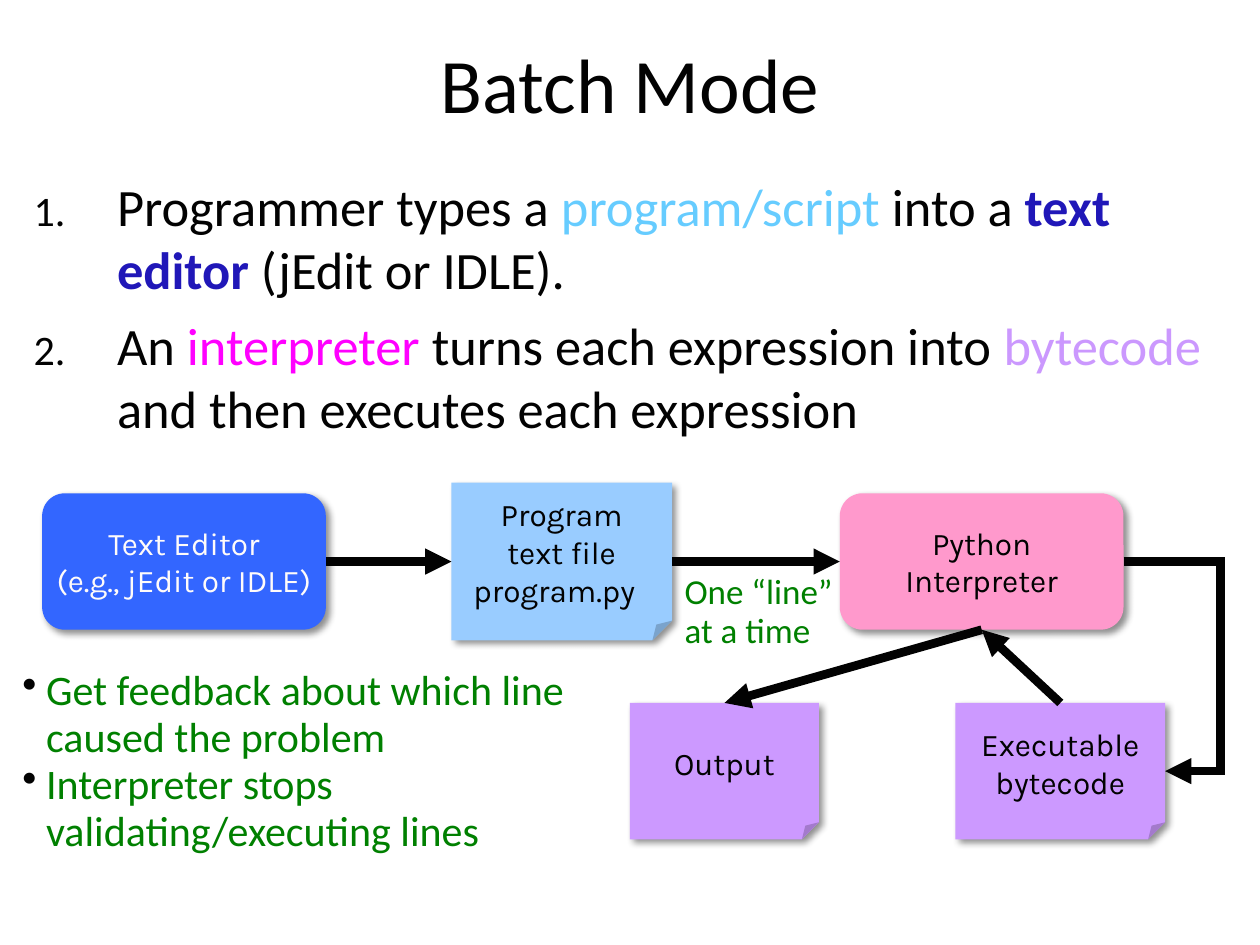
from dataclasses import dataclass

from lxml.etree import SubElement
from pptx import Presentation
from pptx.dml.color import RGBColor
from pptx.enum.shapes import MSO_CONNECTOR, MSO_SHAPE
from pptx.enum.text import MSO_ANCHOR, PP_ALIGN
from pptx.oxml.ns import qn
from pptx.util import Cm, Pt


@dataclass(frozen=True)
class Theme:
    ink: str = "020202"
    white: str = "FFFBFA"
    script: str = "66CCFF"
    editor: str = "2017B8"
    interpreter: str = "FF00FF"
    bytecode: str = "CB98FE"
    note: str = "008000"
    editor_fill: str = "3366FF"
    file_fill: str = "99CCFF"
    interpreter_fill: str = "FF99CC"
    result_fill: str = "CC99FF"
    text_font: str = "Calibri"
    node_font: str = "Karla"
    title_size: int = 44
    body_size: int = 30
    feedback_size: int = 24
    label_size: int = 20
    node_size: int = 18
    arrow_width: int = 5


THEME = Theme()
TOP, LEFT, BOTTOM, RIGHT = range(4)  # connection sites


def rgb(colour):
    return RGBColor.from_string(colour)


def child(parent, tag, **attributes):
    return SubElement(parent, qn(tag), {k: str(v) for k, v in attributes.items()})


def set_guide(shape, name, ratio):
    geometry = shape._element.spPr.find(qn("a:prstGeom"))
    guides = geometry.find(qn("a:avLst"))
    if guides is None:
        guides = child(geometry, "a:avLst")
    child(guides, "a:gd", name=name, fmla=f"val {round(ratio * 100000)}")


def add_bullet(paragraph, indent, number=False):
    properties = paragraph._p.get_or_add_pPr()
    properties.set("marL", str(Cm(indent)))
    properties.set("indent", str(-Cm(indent)))
    if number:
        child(properties, "a:buSzPct", val=80000)
        child(properties, "a:buAutoNum", type="arabicPeriod")
    else:
        child(child(properties, "a:buClr"), "a:srgbClr", val=THEME.ink)
        child(properties, "a:buChar", char="•")


def write(frame, paragraphs, *, size, font=THEME.text_font, colour=THEME.ink,
          align=PP_ALIGN.LEFT, anchor=MSO_ANCHOR.TOP, wrap=True, spacing=None,
          gap=0, indent=0, number=False):
    """Each paragraph is a string or a list of (text, colour, bold) spans."""
    frame.word_wrap = wrap
    frame.vertical_anchor = anchor
    for index, content in enumerate(paragraphs):
        paragraph = frame.add_paragraph() if index else frame.paragraphs[0]
        paragraph.alignment = align
        if spacing:
            paragraph.line_spacing = spacing
        if index and gap:
            paragraph.space_before = Pt(gap)
        if indent:
            add_bullet(paragraph, indent, number)
        spans = [(content, colour, False)] if isinstance(content, str) else content
        for words, span_colour, bold in spans:
            for line, part in enumerate(words.split("\n")):
                if line:
                    paragraph.add_line_break()
                run = paragraph.add_run()
                run.text = part
                run.font.name = font
                run.font.size = Pt(size)
                run.font.bold = bold
                run.font.color.rgb = rgb(span_colour)


def add_text(slide, box, paragraphs, **style):
    write(slide.shapes.add_textbox(*map(Cm, box)).text_frame, paragraphs, **style)


def add_node(slide, box, preset, fill, paragraphs, colour=THEME.ink):
    node = slide.shapes.add_shape(preset, *map(Cm, box))
    if preset == MSO_SHAPE.FOLDED_CORNER:
        set_guide(node, "adj", 0.125)
    node.fill.solid()
    node.fill.fore_color.rgb = rgb(fill)
    node.line.fill.background()
    node.shadow.inherit = False
    shadow = child(node._element.spPr.find(qn("a:effectLst")), "a:outerShdw",
                   blurRad=Pt(4), dist=Pt(3), dir=45 * 60000, algn="ctr",
                   rotWithShape=0)
    child(child(shadow, "a:srgbClr", val="000000"), "a:alpha", val=43000)
    write(node.text_frame, paragraphs, size=THEME.node_size, font=THEME.node_font,
          colour=colour, align=PP_ALIGN.CENTER, anchor=MSO_ANCHOR.MIDDLE, wrap=False)
    return node


def style_arrow(arrow):
    arrow.line.width = Pt(THEME.arrow_width)
    arrow.line.color.rgb = rgb(THEME.ink)
    outline = arrow._element.spPr.find(qn("a:ln"))
    child(outline, "a:miter", lim=800000)
    child(outline, "a:tailEnd", type="triangle")
    child(arrow._element.spPr, "a:effectLst")


def add_arrow(slide, start, start_site, end, end_site):
    arrow = slide.shapes.add_connector(MSO_CONNECTOR.STRAIGHT, 0, 0, 0, 0)
    arrow.begin_connect(start, start_site)
    arrow.end_connect(end, end_site)
    style_arrow(arrow)


def add_loop_arrow(slide, start, end, bend_x):
    """Elbow from the right side of start, out to bend_x, into the right of end."""
    x1, x2 = start.left + start.width, end.left + end.width
    arrow = slide.shapes.add_connector(
        MSO_CONNECTOR.ELBOW, x1, start.top + start.height // 2,
        x2, end.top + end.height // 2)
    set_guide(arrow, "adj1", (Cm(bend_x) - x1) / (x2 - x1))
    style_arrow(arrow)


def add_title(slide, box):
    add_text(slide, box, ["Batch Mode"], size=THEME.title_size,
             align=PP_ALIGN.CENTER, anchor=MSO_ANCHOR.MIDDLE)


def add_steps(slide, box):
    ink = THEME.ink
    add_text(slide, box, [
        [("Programmer types a ", ink, False), ("program/script", THEME.script, False),
         (" into a ", ink, False), ("text editor ", THEME.editor, True),
         ("(jEdit or IDLE).", ink, False)],
        [("An ", ink, False), ("interpreter", THEME.interpreter, False),
         (" turns each expression into ", ink, False),
         ("bytecode", THEME.bytecode, False),
         (" and then executes each expression", ink, False)],
    ], size=THEME.body_size, gap=7.5, indent=1.68, number=True)


def add_flow(slide, box):
    left, top, width, height = box
    node_height, file_height = 2.75, 3.18
    stage_width = 5.72
    stage_top = top + (file_height - node_height) / 2
    result_top = top + height - node_height
    rounded, folded = MSO_SHAPE.ROUNDED_RECTANGLE, MSO_SHAPE.FOLDED_CORNER

    # Stages and files
    interpreter = add_node(slide, (left + 16.08, stage_top, stage_width, node_height),
                           rounded, THEME.interpreter_fill, ["Python\nInterpreter"])
    program = add_node(slide, (left + 8.25, top, 4.45, file_height), folded,
                       THEME.file_fill, ["Program", "text file", "program.py"])
    program.text_frame.paragraphs[-1]._p.get_or_add_pPr().set("marR", str(Cm(0.3)))
    output = add_node(slide, (left + 11.85, result_top, 3.81, node_height), folded,
                      THEME.result_fill, ["Output"])
    editor = add_node(slide, (left, stage_top, stage_width, node_height), rounded,
                      THEME.editor_fill, ["Text Editor", "(e.g., jEdit or IDLE)"],
                      colour=THEME.white)
    bytecode = add_node(slide, (left + 18.41, result_top, 4.23, node_height), folded,
                        THEME.result_fill, ["Executable", "bytecode"])

    # Arrows
    add_arrow(slide, editor, RIGHT, program, LEFT)
    add_arrow(slide, program, RIGHT, interpreter, LEFT)
    add_arrow(slide, bytecode, TOP, interpreter, BOTTOM)
    add_arrow(slide, interpreter, BOTTOM, output, TOP)
    add_loop_arrow(slide, interpreter, bytecode, left + width)

    # Arrow label
    add_text(slide, (left + 12.7, top + 1.7, 3.81, 1.85), ["One “line” at a time"],
             size=THEME.label_size, colour=THEME.note, spacing=0.93)


def add_feedback(slide, box):
    add_text(slide, box, ["Get feedback about which line caused the problem",
                          "Interpreter stops validating/executing lines"],
             size=THEME.feedback_size, colour=THEME.note, spacing=0.93, indent=0.48)


def main():
    deck = Presentation()
    deck.slide_width, deck.slide_height = Cm(25.4), Cm(19.05)
    slide = deck.slides.add_slide(deck.slide_layouts[6])
    add_title(slide, (0.64, 0.61, 24.13, 2.13))
    add_steps(slide, (0.43, 3.38, 24.13, 5.64))
    add_flow(slide, (0.85, 9.73, 23.76, 7.19))
    add_feedback(slide, (0.2, 13.34, 12.27, 4.09))
    deck.save("out.pptx")


if __name__ == "__main__":
    main()
